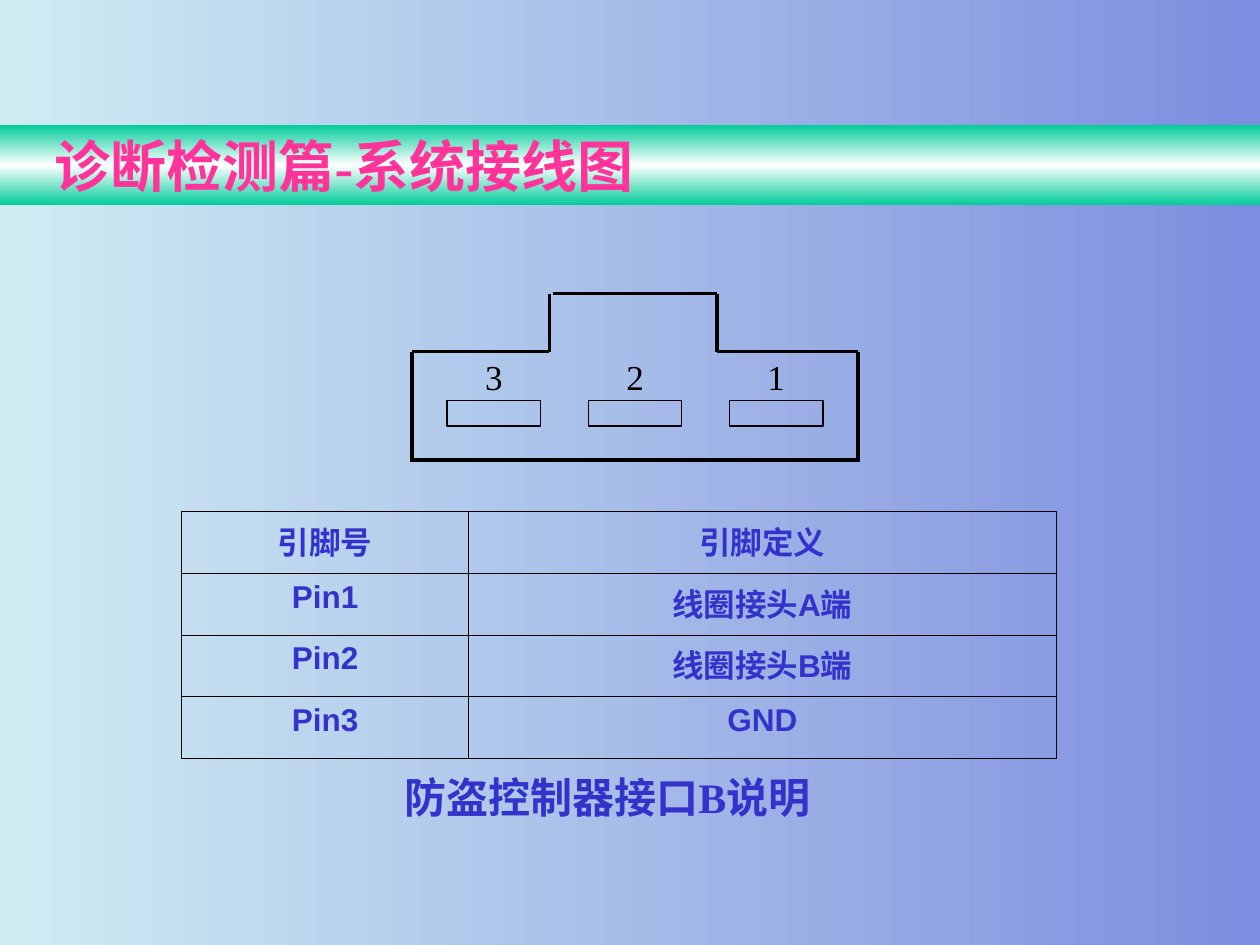
from copy import deepcopy
from dataclasses import dataclass

from pptx import Presentation
from pptx.dml.color import RGBColor
from pptx.enum.shapes import MSO_CONNECTOR as Connector, MSO_SHAPE as Shape
from pptx.enum.text import MSO_ANCHOR as Anchor, PP_ALIGN as Align
from pptx.oxml.ns import qn
from pptx.util import Inches, Pt
from lxml.etree import SubElement


@dataclass(frozen=True)
class Theme:
    black: str = "000000"
    blue: str = "3333CC"
    pink: str = "FF3399"
    green: str = "00CC99"
    white: str = "FFFFFF"
    background_right: str = "7D8DDF"
    background_left: str = "D0ECF2"
    serif: str = "Times New Roman"
    sans: str = "Arial"
    title_size: float = 32
    caption_size: float = 24
    label_size: float = 20
    table_size: float = 18
    outline_width: float = 2
    slot_width: float = 1
    border_width: float = 0.45


@dataclass(frozen=True)
class Segment:
    x1: float
    y1: float
    x2: float
    y2: float


@dataclass(frozen=True)
class Pin:
    label: str
    center: float


THEME = Theme()

# Connector housing: outer edges, raised key and vertical levels
LEFT, RIGHT, KEY_LEFT, KEY_RIGHT = 3.27, 6.81, 4.36, 5.69
KEY_TOP, SHOULDER, BASE, FOOT = 2.33, 2.79, 3.65, 3.67
HOUSING = [
    Segment(LEFT, SHOULDER, KEY_LEFT, SHOULDER),
    Segment(KEY_LEFT, SHOULDER, KEY_LEFT, KEY_TOP),
    Segment(KEY_LEFT + 0.03, KEY_TOP, KEY_RIGHT, KEY_TOP),
    Segment(KEY_RIGHT, KEY_TOP, KEY_RIGHT, SHOULDER),
    Segment(KEY_RIGHT, SHOULDER, RIGHT, SHOULDER),
    Segment(LEFT, SHOULDER, LEFT, FOOT),
    Segment(LEFT, BASE, RIGHT, BASE),
    Segment(RIGHT, FOOT, RIGHT, SHOULDER),
]
PIN_PITCH = 1.12
PINS = [Pin(label, 3.92 + index * PIN_PITCH) for index, label in enumerate("321")]

PIN_TABLE = [
    ("引脚号", "引脚定义"),
    ("Pin1", "线圈接头A端"),
    ("Pin2", "线圈接头B端"),
    ("Pin3", "GND"),
]
COLUMN_WIDTHS = (2.28, 4.66)
ROW_HEIGHT = 0.49


def rgb(color: str) -> RGBColor:
    return RGBColor.from_string(color)


def write_text(text_frame, text: str, size: float, font_name: str, color: str,
               bold: bool = True, align=Align.CENTER) -> None:
    text_frame.text = text
    paragraph = text_frame.paragraphs[0]
    paragraph.alignment = align
    for run in paragraph.runs:
        run.font.size = Pt(size)
        run.font.name = font_name
        run.font.bold = bold
        run.font.color.rgb = rgb(color)


def set_insets(text_frame, horizontal: float, vertical: float) -> None:
    text_frame.margin_left = text_frame.margin_right = Inches(horizontal)
    text_frame.margin_top = text_frame.margin_bottom = Inches(vertical)


def set_gradient(fill, first: str, last: str, angle: float) -> None:
    fill.gradient()
    fill.gradient_angle = angle
    for stop, color, position in zip(fill.gradient_stops, (first, last), (0, 1)):
        stop.color.rgb = rgb(color)
        stop.position = position


def draw_title(slide) -> None:
    title = slide.shapes.title
    title.left, title.top = Inches(0), Inches(0.99)
    title.width, title.height = Inches(10), Inches(0.64)
    set_gradient(title.fill, THEME.green, THEME.green, 270)
    # White middle stop of the band
    stops = title._element.spPr.find(qn("a:gradFill")).find(qn("a:gsLst"))
    stops.insert(1, deepcopy(stops[0]))
    middle = title.fill.gradient_stops[1]
    middle.position = 0.5
    middle.color.rgb = rgb(THEME.white)
    text_frame = title.text_frame
    text_frame.word_wrap = True
    text_frame.vertical_anchor = Anchor.MIDDLE
    set_insets(text_frame, 0.1, 0.05)
    text_frame.margin_left = Inches(0.43)
    write_text(text_frame, "诊断检测篇-系统接线图", THEME.title_size,
               THEME.serif, THEME.pink, align=Align.LEFT)


def draw_segment(shapes, segment: Segment) -> None:
    line = shapes.add_connector(
        Connector.STRAIGHT, Inches(segment.x1), Inches(segment.y1),
        Inches(segment.x2), Inches(segment.y2))
    line.line.color.rgb = rgb(THEME.black)
    line.line.width = Pt(THEME.outline_width)
    SubElement(line._element.spPr, qn("a:effectLst"))


def draw_text_box(shapes, left: float, top: float, width: float, height: float):
    box = shapes.add_textbox(Inches(left), Inches(top), Inches(width), Inches(height))
    box.text_frame.word_wrap = True
    box.text_frame.vertical_anchor = Anchor.MIDDLE
    return box.text_frame


def draw_pin(shapes, pin: Pin) -> None:
    width, label_width = 0.74, 0.19
    slot = shapes.add_shape(Shape.RECTANGLE, Inches(pin.center - width / 2),
                            Inches(3.18), Inches(width), Inches(0.2))
    slot.shadow.inherit = False
    slot.fill.background()
    slot.line.color.rgb = rgb(THEME.black)
    slot.line.width = Pt(THEME.slot_width)
    text_frame = draw_text_box(shapes, pin.center - label_width / 2, SHOULDER,
                               label_width, 0.39)
    set_insets(text_frame, 0, 0)
    write_text(text_frame, pin.label, THEME.label_size, THEME.serif,
               THEME.black, bold=False)


def set_borders(cell) -> None:
    properties = cell._tc.get_or_add_tcPr()
    for index, side in enumerate(("lnL", "lnR", "lnT", "lnB")):
        border = SubElement(properties, qn(f"a:{side}"), w=str(Pt(THEME.border_width)))
        fill = SubElement(border, qn("a:solidFill"))
        SubElement(fill, qn("a:srgbClr"), val=THEME.black)
        properties.insert(index, border)


def draw_pin_table(slide) -> None:
    table = slide.shapes.add_table(
        len(PIN_TABLE), len(COLUMN_WIDTHS), Inches(1.44), Inches(4.06),
        Inches(sum(COLUMN_WIDTHS)), Inches(ROW_HEIGHT * len(PIN_TABLE))).table
    table.first_row = table.horz_banding = False
    for column, width in zip(table.columns, COLUMN_WIDTHS):
        column.width = Inches(width)
    for row, texts in zip(table.rows, PIN_TABLE):
        row.height = Inches(ROW_HEIGHT)
        for cell, text in zip(row.cells, texts):
            cell.fill.background()
            set_borders(cell)
            write_text(cell.text_frame, text, THEME.table_size, THEME.sans, THEME.blue)


def main() -> None:
    presentation = Presentation()
    presentation.slide_width, presentation.slide_height = Inches(10), Inches(7.5)
    slide = presentation.slides.add_slide(presentation.slide_layouts[5])
    set_gradient(slide.background.fill, THEME.background_right,
                 THEME.background_left, 180)

    # Connector drawing
    group = slide.shapes.add_group_shape()
    for segment in HOUSING:
        draw_segment(group.shapes, segment)
    for pin in PINS:
        draw_pin(group.shapes, pin)

    # Pin table and its caption
    draw_pin_table(slide)
    caption = draw_text_box(slide.shapes, 3.11, 6.05, 3.62, 0.54)
    write_text(caption, "防盗控制器接口B说明", THEME.caption_size, THEME.serif,
               THEME.blue, align=Align.LEFT)

    # Title band
    draw_title(slide)
    presentation.save("out.pptx")


if __name__ == "__main__":
    main()
